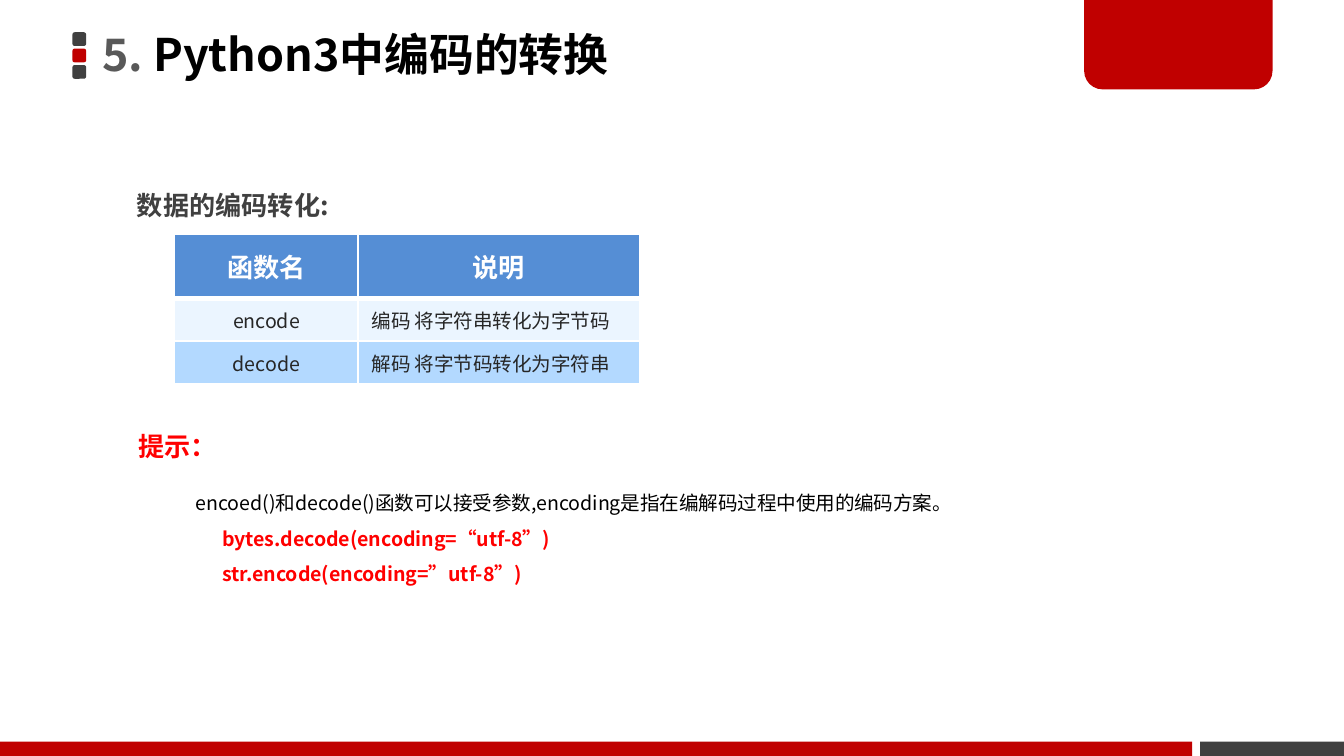
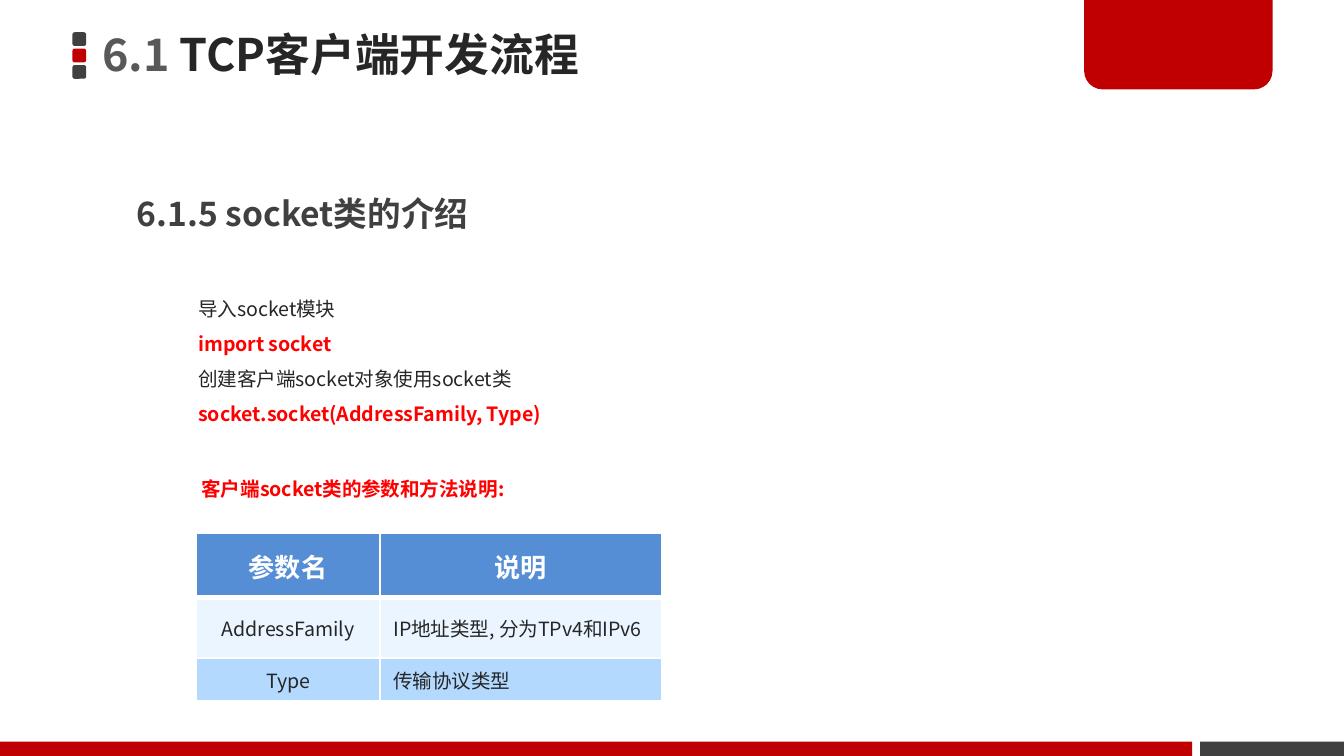
from pptx import Presentation
from pptx.dml.color import RGBColor
from pptx.enum.shapes import MSO_SHAPE
from pptx.enum.text import MSO_ANCHOR, MSO_AUTO_SIZE, PP_ALIGN
from pptx.oxml import parse_xml
from pptx.oxml.ns import nsdecls
from pptx.util import Cm, Pt

FONT = "Noto Sans CJK SC"
COLORS = {
    "red": "C00000", "dark": "404040", "number": "595959", "black": "000000",
    "ink": "262626", "alert": "FF0000", "white": "FFFFFF",
    "header": "558ED5", "light": "EBF5FF", "blue": "B3D9FF",
}

# Text styles: size, bold, colour
STYLES = {
    "number": (24, True, "number"),
    "title_black": (24, True, "black"),
    "title_ink": (24, True, "ink"),
    "section": (18, True, "dark"),
    "heading": (14, True, "dark"),
    "tip": (14, True, "alert"),
    "body": (10.5, False, "ink"),
    "body_black": (10.5, False, "black"),
    "code": (10.5, True, "alert"),
    "table_head": (14, True, "white"),
}


def write_text(frame, lines, **layout):
    """Fill a frame; each line is a list of (text, style) spans."""
    for index, line in enumerate(lines):
        para = frame.paragraphs[0] if index == 0 else frame.add_paragraph()
        for name, value in layout.items():
            setattr(para, name, value)
        for text, style in line:
            size, bold, color = STYLES[style]
            span = para.add_run()
            span.text = text
            for name, value in {"name": FONT, "size": Pt(size), "bold": bold}.items():
                setattr(span.font, name, value)
            span.font.color.rgb = RGBColor.from_string(COLORS[color])
            span.font._element.append(
                parse_xml(f'<a:ea {nsdecls("a")} typeface="{FONT}"/>'))


def add_block(shapes, kind, place, color):
    """Draw a plain filled shape without line or shadow."""
    block = shapes.add_shape(kind, *map(Cm, place))
    block.shadow.inherit = False
    block.fill.solid()
    block.fill.fore_color.rgb = RGBColor.from_string(COLORS[color])
    block.line.fill.background()
    return block


# Content: boxes are (place, wrap, hanging indent, lines)
PAGES = [
    {
        "title": [("5. ", "number"), ("Python3中编码的转换", "title_black")],
        "boxes": [
            ((2.34, 3.15, 9.75, 1.14), True, 0, [[("数据的编码转化:", "heading")]]),
            ((2.36, 7.72, 2.01, 1.14), False, 0, [[("提示：", "tip")]]),
            ((3.45, 8.94, 19.2, 2.29), True, 0.48, [
                [("encoed()和decode()函数可以接受参数,encoding是指在编解码过程中使用的编码方案。",
                  "body_black")],
                [("      bytes.decode(encoding=“utf-8”)", "code")],
                [("      str.encode(encoding=”utf-8”)", "code")],
            ]),
        ],
        "table_at": (3.3, 4.42),
        "rows": [("函数名", "说明"),
                 ("encode", "编码 将字符串转化为字节码"),
                 ("decode", "解码 将字节码转化为字符串")],
    },
    {
        "title": [("6.1 ", "number"), ("TCP客户端开发流程", "title_ink")],
        "boxes": [
            ((2.34, 3.15, 9.75, 1.27), True, 0, [[("6.1.5 socket类的介绍", "section")]]),
            ((3.5, 5.26, 8, 2.95), True, 0, [
                [("导入socket模块", "body")],
                [("import socket", "code")],
                [("创建客户端socket对象使用socket类", "body")],
                [("socket.socket(AddressFamily, Type)", "code")],
            ]),
            ((3.56, 8.66, 8, 0.94), True, 0,
             [[("客户端socket类的参数和方法说明:", "code")]]),
        ],
        "table_at": (3.71, 10.08),
        "rows": [("参数名", "说明"),
                 ("AddressFamily", "IP地址类型, 分为TPv4和IPv6"),
                 ("Type", "传输协议类型")],
    },
]
COLUMN_WIDTHS = (3.47, 5.32)
ROW_HEIGHTS = (1.22, 0.81, 0.81)
ROW_FILLS = ("header", "light", "blue")
ROW_BORDERS = ((1, 3), (3, 1), (1, 1))  # top and bottom, in points

deck = Presentation()
deck.slide_width, deck.slide_height = Cm(25.4), Cm(14.29)

for content in PAGES:
    page = deck.slides.add_slide(deck.slide_layouts[5])

    # Title marker, corner tab and footer bands
    marker = page.shapes.add_group_shape()
    for index, color in enumerate(("dark", "red", "dark")):
        add_block(marker.shapes, MSO_SHAPE.ROUNDED_RECTANGLE,
                  (1.37, 0.61 + index * 0.31, 0.26, 0.26), color)
    tab = add_block(page.shapes, MSO_SHAPE.ROUND_2_SAME_RECTANGLE,
                    (20.49, -0.05, 3.56, 1.74), "red")
    tab.adjustments[0], tab.adjustments[1] = 0, 0.2
    add_block(page.shapes, MSO_SHAPE.RECTANGLE, (0, 14.02, 22.53, 0.27), "red")
    add_block(page.shapes, MSO_SHAPE.RECTANGLE, (22.68, 14.02, 2.72, 0.27), "dark")

    # Title
    title = page.shapes.title
    for name, value in {"left": -0.05, "top": -0.05, "width": 14.96, "height": 2.26}.items():
        setattr(title, name, Cm(1.8 + value if name == "left" else value))
    frame_format = {
        "margin_left": Cm(0.18), "margin_right": Cm(0.18),
        "margin_top": Cm(0.1), "margin_bottom": Cm(0.1),
        "vertical_anchor": MSO_ANCHOR.MIDDLE,
        "auto_size": MSO_AUTO_SIZE.NONE, "word_wrap": True,
    }
    for name, value in frame_format.items():
        setattr(title.text_frame, name, value)
    write_text(title.text_frame, [content["title"]],
               alignment=PP_ALIGN.LEFT, line_spacing=0.9)

    # Text boxes
    for place, wrap, hanging, lines in content["boxes"]:
        box = page.shapes.add_textbox(*map(Cm, place))
        box.text_frame.word_wrap = wrap
        box.text_frame.auto_size = MSO_AUTO_SIZE.SHAPE_TO_FIT_TEXT
        write_text(box.text_frame, lines, line_spacing=1.5)
        if hanging:
            for para in box.text_frame.paragraphs:
                properties = para._p.get_or_add_pPr()
                properties.set("marL", str(Cm(hanging)))
                properties.set("indent", str(-Cm(hanging)))

    # Table
    left, top = content["table_at"]
    table = page.shapes.add_table(
        len(ROW_HEIGHTS), len(COLUMN_WIDTHS), Cm(left), Cm(top),
        Cm(sum(COLUMN_WIDTHS)), Cm(sum(ROW_HEIGHTS))).table
    table.horz_banding = False
    for column, width in zip(table.columns, COLUMN_WIDTHS):
        column.width = Cm(width)
    for row_index, texts in enumerate(content["rows"]):
        table.rows[row_index].height = Cm(ROW_HEIGHTS[row_index])
        is_header = row_index == 0
        for column_index, text in enumerate(texts):
            cell = table.cell(row_index, column_index)
            cell.fill.solid()
            cell.fill.fore_color.rgb = RGBColor.from_string(COLORS[ROW_FILLS[row_index]])
            cell.vertical_anchor = MSO_ANCHOR.TOP if is_header else MSO_ANCHOR.MIDDLE
            centred = is_header or column_index == 0
            write_text(cell.text_frame, [[(text, "table_head" if is_header else "body")]],
                       alignment=PP_ALIGN.CENTER if centred else PP_ALIGN.LEFT,
                       line_spacing=Pt(24) if is_header else None)
            above, below = ROW_BORDERS[row_index]
            borders = {"lnL": 1, "lnR": 1, "lnT": above, "lnB": below}
            for position, (side, width) in enumerate(borders.items()):
                cell._tc.get_or_add_tcPr().insert(position, parse_xml(
                    f'<a:{side} {nsdecls("a")} w="{Pt(width)}"><a:solidFill>'
                    f'<a:srgbClr val="{COLORS["white"]}"/></a:solidFill></a:{side}>'))

deck.save("out.pptx")
